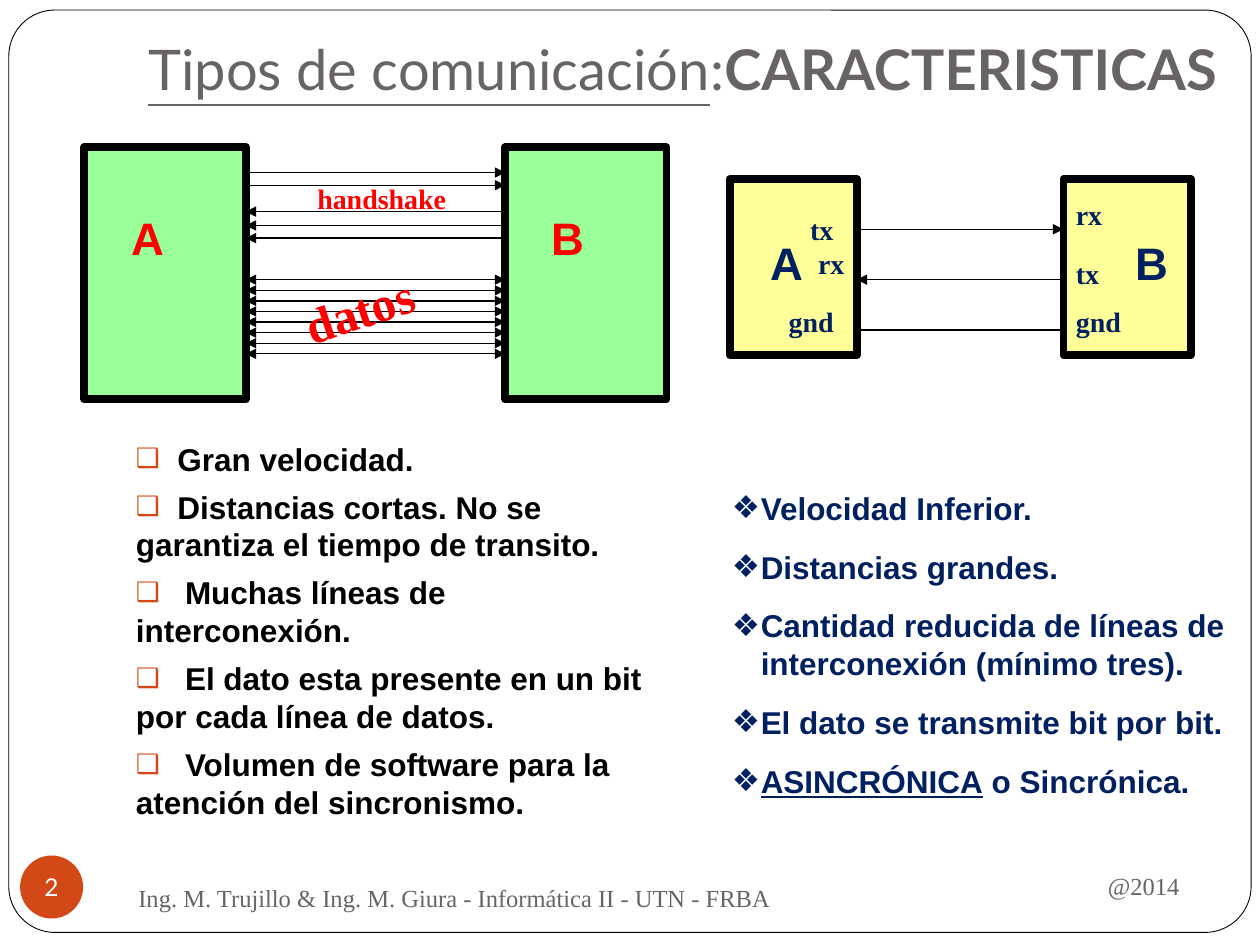
"""Build the slide comparing parallel and serial communication."""
import pptx
import pptx.util
import pptx.dml.color
import pptx.enum.shapes
import pptx.enum.text
import pptx.oxml.ns
from lxml import etree

Inches, Pt = pptx.util.Inches, pptx.util.Pt
KIND = pptx.enum.shapes.MSO_SHAPE
ALIGN = pptx.enum.text.PP_ALIGN
ANCHOR = pptx.enum.text.MSO_ANCHOR
TIMES, ARIAL, LATO = "Times New Roman", "Arial", "Lato"
RED, NAVY, GREY, ORANGE = "FF0000", "002060", "696464", "D34817"
GREEN, YELLOW, BLACK, WHITE = "99FF99", "FFFF99", "000000", "FFFFFF"

TITLE = [("Tipos de comunicación", False, True), (":", False, False),
         ("CARACTERISTICAS", True, False)]
FAST = [("Gran velocidad.", 0.33),
        ("Distancias cortas. No se garantiza el tiempo de transito.", 0.33),
        ("Muchas líneas de interconexión.", 0.39),
        ("El dato esta presente en un bit por cada línea de datos.", 0.39),
        ("Volumen de software para la atención del sincronismo.", 0.39)]
SLOW = [[("Velocidad Inferior.", False)],
        [("Distancias grandes.", False)],
        [("Cantidad reducida de líneas de interconexión (mínimo tres).", False)],
        [("El dato se transmite bit por bit.", False)],
        [("ASINCRÓNICA", True), (" o Sincrónica.", False)]]
BLOCKS = [(0.67, "A"), (4.01, "B")]
PORTS = [(5.79, 0.27, [("tx", 0.54, 0, ALIGN.LEFT), ("rx", 0, 0, ALIGN.RIGHT),
                       ("gnd", 0.37, 14, ALIGN.LEFT)]),
         (8.44, 0.15, [("rx", 0, 0, ALIGN.LEFT), ("tx", 0, 14.5, ALIGN.LEFT),
                       ("gnd", 0, 8, ALIGN.LEFT)])]
NAMES = [(6.02, "A"), (8.91, "B")]
SEND, REPLY = [1.37, 1.47], [1.68, 1.79, 1.89]
DATA = [2.22 + 0.084 * i for i in range(8)]
LABELS = [("@2014", (6.75, 6.77, 2.71, 0.52), ALIGN.RIGHT),
          ("Ing. M. Trujillo & Ing. M. Giura - Informática II - UTN - FRBA",
           (1, 6.75, 6.83, 0.75), ALIGN.LEFT)]

deck = pptx.Presentation()
deck.slide_width, deck.slide_height = Inches(10), Inches(7.5)
slide = deck.slides.add_slide(deck.slide_layouts[6])


def color(text):
    return pptx.dml.color.RGBColor.from_string(text)


def style(item, size, face, tint, bold=None):
    font = item.font
    font.size, font.name, font.bold = Pt(size), face, bold
    font.color.rgb = color(tint)


def add(node, tag, **attrs):
    return etree.SubElement(node, pptx.oxml.ns.qn(tag), **attrs)


def shape(kind, box, fill, width=0):
    item = slide.shapes.add_shape(kind, *map(Inches, box))
    item.shadow.inherit = False
    item.fill.solid()
    item.fill.fore_color.rgb = color(fill)
    if width:
        item.line.color.rgb = color(BLACK)
        item.line.width = Pt(width)
    else:
        item.line.fill.background()
    return item


def frame(box):
    item = slide.shapes.add_textbox(*map(Inches, box))
    item.text_frame.word_wrap = True
    return item


def label(text, box, size, face, tint, bold=None, align=ALIGN.LEFT):
    item = frame(box)
    para = item.text_frame.paragraphs[0]
    para.text, para.alignment = text, align
    style(para, size, face, tint, bold)
    return item


def wire(start, end, y, head=False, tail=True):
    line = slide.shapes.add_connector(
        pptx.enum.shapes.MSO_CONNECTOR.STRAIGHT,
        Inches(start), Inches(y), Inches(end), Inches(y))
    line.line.color.rgb = color(BLACK)
    line.line.width = Pt(0.75)
    stroke = line.line._get_or_add_ln()
    for tag, shown in (("a:headEnd", head), ("a:tailEnd", tail)):
        if shown:
            add(stroke, tag, type="triangle")
    add(line._element.spPr, "a:effectLst")


def rows(body, items):
    for i, item in enumerate(items):
        yield i, body.paragraphs[0] if i == 0 else body.add_paragraph(), item


def bullet(para, char, left=0, tab=0, tint=None):
    props = para._p.get_or_add_pPr()
    props.set("marL", str(Inches(left)))
    props.set("indent", str(-Inches(left)))
    if tint:
        add(add(props, "a:buClr"), "a:srgbClr", val=tint)
        add(props, "a:buSzPct", val="85000")
    add(props, "a:buFont", typeface=ARIAL)
    add(props, "a:buChar", char=char)
    if tab:
        add(add(props, "a:tabLst"), "a:tab", pos=str(Inches(tab)), algn="l")


card = shape(KIND.ROUNDED_RECTANGLE, (0.07, 0.08, 9.86, 7.32), WHITE, 0.5)
card.adjustments[0] = 0.05

head = frame((1.08, 0.08, 8.92, 0.83)).text_frame
head.vertical_anchor, head.margin_bottom = ANCHOR.BOTTOM, Inches(0.1)
para = head.paragraphs[0]
for text, bold, under in TITLE:
    run = para.add_run()
    run.text, run.font.bold, run.font.underline = text, bold, under
    style(run, 32, LATO, GREY, bold)

for text, box, align in LABELS:
    note = label(text, box, 14, TIMES, GREY, None, align)
    note.text_frame.vertical_anchor = ANCHOR.MIDDLE

body = frame((0.98, 3.44, 4.25, 3.17)).text_frame
for i, para, (text, tab) in rows(body, FAST):
    bullet(para, "❑", tab=tab, tint=ORANGE)
    para.text = "\t" + text
    para.space_before = Pt(5.8 if i else 0)
    style(para, 18, ARIAL, BLACK, True)

for x, text in BLOCKS:
    body = shape(KIND.RECTANGLE, (x, 1.17, 1.28, 2), GREEN, 4.5).text_frame
    body.vertical_anchor = ANCHOR.TOP
    body.margin_top, body.margin_left = Inches(0.5), Inches(0.37)
    para = body.paragraphs[0]
    para.text, para.alignment = text, ALIGN.LEFT
    style(para, 26, ARIAL, RED, True)

for y in DATA:
    wire(1.95, 4.01, y, head=True)
for y in SEND:
    wire(1.95, 4.01, y)
for y in REPLY:
    wire(4.01, 1.95, y)
label("datos", (2.27, 2.17, 1.13, 0.33), 28, TIMES, RED, True).rotation = 341.6
label("handshake", (2.42, 1.39, 1.23, 0.36), 16, TIMES, RED, True)

for x, top, pins in PORTS:
    body = shape(KIND.RECTANGLE, (x, 1.42, 1.01, 1.4), YELLOW, 4.5).text_frame
    body.vertical_anchor, body.margin_top = ANCHOR.TOP, Inches(top)
    for i, para, (text, left, gap, align) in rows(body, pins):
        para._p.get_or_add_pPr().set("marL", str(Inches(left)))
        para.text, para.alignment, para.space_before = text, align, Pt(gap)
        style(para, 16, TIMES, NAVY, True)

wire(6.8, 8.44, 1.82)
wire(8.44, 6.8, 2.22)
wire(6.8, 8.44, 2.62, tail=False)
for x, text in NAMES:
    label(text, (x, 1.82, 0.39, 0.7), 26, ARIAL, NAVY, True)

body = frame((5.71, 3.83, 4.17, 2.59)).text_frame
for i, para, parts in rows(body, SLOW):
    bullet(para, "❖", left=0.23)
    para.space_after = Pt(12)
    style(para, 18, ARIAL, NAVY, True)
    for text, under in parts:
        run = para.add_run()
        run.text = text
        style(run, 18, ARIAL, NAVY, True)
        run.font.underline = under

badge = shape(KIND.OVAL, (0.16, 6.79, 0.5, 0.5), ORANGE).text_frame
badge.margin_left = badge.margin_right = badge.margin_top = badge.margin_bottom = 0
badge.word_wrap, badge.vertical_anchor = False, ANCHOR.MIDDLE
badge.text = "2"
badge.paragraphs[0].alignment = ALIGN.CENTER
style(badge.paragraphs[0], 14, LATO, WHITE)

deck.save("out.pptx")
